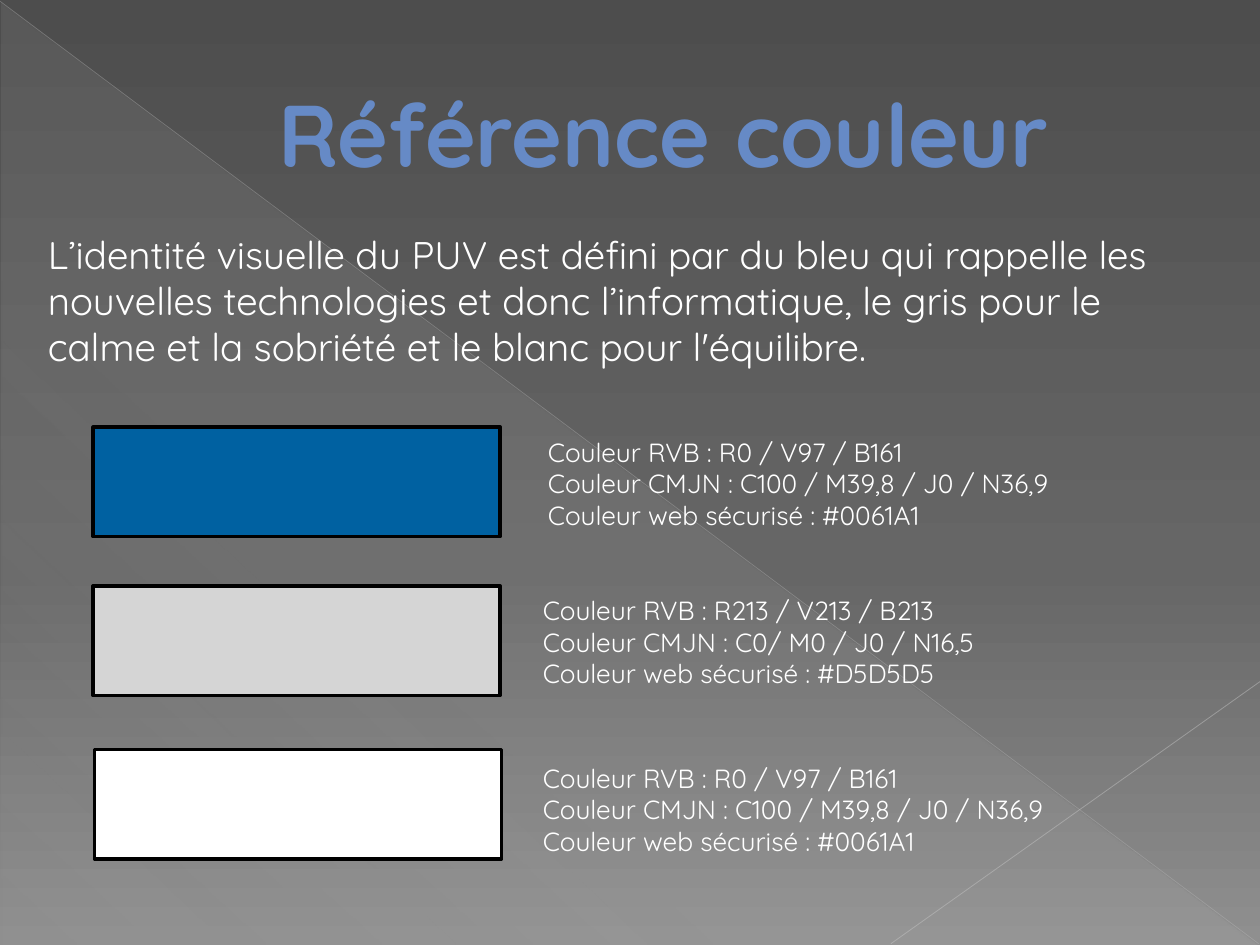
import pptx
import pptx.util
import pptx.dml.color
import pptx.enum.shapes
import pptx.enum.text
import pptx.oxml
import pptx.oxml.ns
import pptx.oxml.xmlchemy

RGBColor = pptx.dml.color.RGBColor
Pt = pptx.util.Pt
qn = pptx.oxml.ns.qn
new_element = pptx.oxml.xmlchemy.OxmlElement
Align = pptx.enum.text.PP_ALIGN
Anchor = pptx.enum.text.MSO_ANCHOR
Shape = pptx.enum.shapes.MSO_SHAPE

FONT = "Quicksand"
WHITE = RGBColor(0xFF, 0xFF, 0xFF)
BLACK = RGBColor(0x00, 0x00, 0x00)
BLUE = RGBColor(0x00, 0x61, 0xA1)
GREY = RGBColor(0xD5, 0xD5, 0xD5)
TITLE_BLUE = RGBColor(0x66, 0x8A, 0xC6)
TITLE_EDGE = RGBColor(0x00, 0x43, 0x70)
LONG_LINE = RGBColor(0xC0, 0xC0, 0xC0)
SHORT_LINE = RGBColor(0xC7, 0xC7, 0xC7)
DARK, MIDDLE, LIGHT = (RGBColor(v, v, v) for v in (0x4D, 0x66, 0x8F))

WIDTH, HEIGHT = pptx.util.Inches(10), pptx.util.Inches(7.5)
# The grid has 100 columns and 100 rows.
COLUMN, ROW = WIDTH / 100, HEIGHT / 100

SWATCH_SIZE = (32.3, 11.6)
# Swatch corner, caption corner relative to it, fill, caption lines
SWATCHES = [
    ((7.4, 45.2), (35.1, 0.27), BLUE,
     ["R0 / V97 / B161", "C100 / M39,8 / J0 / N36,9", "#0061A1"]),
    ((7.4, 62), (34.7, 0.27), GREY,
     ["R213 / V213 / B213", "C0/ M0 / J0 / N16,5", "#D5D5D5"]),
    ((7.5, 79.33), (34.6, 0.67), WHITE,
     ["R0 / V97 / B161", "C100 / M39,8 / J0 / N36,9", "#0061A1"]),
]
CAPTION_LABELS = ["Couleur RVB : ", "Couleur CMJN : ", "Couleur web sécurisé : "]


def grid(left, top, width, height):
    """Turn columns and rows into lengths; also fits two end points."""
    return [round(value * unit) for value, unit in
            zip((left, top, width, height), (COLUMN, ROW, COLUMN, ROW))]


def color_element(color, opacity=100):
    element = new_element("a:srgbClr")
    element.set("val", str(color))
    if opacity < 100:
        alpha = new_element("a:alpha")
        alpha.set("val", str(opacity * 1000))
        element.append(alpha)
    return element


def set_gradient(parent, stops, angle):
    """Replace the solid fill in parent by stops of (position, color, opacity)."""
    gradient = new_element("a:gradFill")
    stop_list = new_element("a:gsLst")
    for position, color, opacity in stops:
        stop = new_element("a:gs")
        stop.set("pos", str(position * 1000))
        stop.append(color_element(color, opacity))
        stop_list.append(stop)
    direction = new_element("a:lin")
    direction.set("ang", str(angle * 60000))
    direction.set("scaled", "0")
    gradient.extend([stop_list, direction])
    parent.replace(parent.find(qn("a:solidFill")), gradient)


def add_hairline(page, ends, color, width, opacity):
    line = page.shapes.add_connector(
        pptx.enum.shapes.MSO_CONNECTOR.STRAIGHT, *grid(*ends))
    line.line.width = Pt(width)
    line.line.color.rgb = color
    fill = line.line._get_or_add_ln().find(qn("a:solidFill"))
    fill.replace(fill[0], color_element(color, opacity))
    line.element.spPr.append(new_element("a:effectLst"))


def add_backdrop(page):
    page.background.fill.solid()
    page.background.fill.fore_color.rgb = DARK
    set_gradient(page.element.find(".//" + qn("p:bgPr")),
                 [(0, DARK, 100), (60, MIDDLE, 100), (100, LIGHT, 100)], 90)
    triangle = page.shapes.add_shape(
        Shape.RIGHT_TRIANGLE, *grid(0.1, 0.27, 99.8, 99.73))
    triangle.shadow.inherit = False
    triangle.line.fill.background()
    triangle.fill.solid()
    triangle.fill.fore_color.rgb = GREY
    set_gradient(triangle.element.spPr,
                 [(0, GREY, 10), (70, GREY, 8), (100, GREY, 1)], 133)
    add_hairline(page, (0, 0.13, 99.9, 99.87), LONG_LINE, 0.39, 35)
    add_hairline(page, (100, 72.13, 70.7, 99.87), SHORT_LINE, 0.47, 45)


def write_text(box, text, size, color=WHITE, bold=False,
               align=Align.LEFT, anchor=Anchor.TOP):
    frame = box.text_frame
    frame.text = text
    frame.word_wrap = True
    frame.auto_size = pptx.enum.text.MSO_AUTO_SIZE.NONE
    frame.vertical_anchor = anchor
    for para in frame.paragraphs:
        para.alignment = align
        para.space_before = Pt(0)
        for span in para.runs:
            span.font.name = FONT
            span.font.size = Pt(size)
            span.font.bold = bold
            span.font.color.rgb = color


def fill_placeholder(placeholder, box, indent, **text):
    """Place a placeholder in front of the backdrop, without bullets."""
    placeholder.left, placeholder.top, placeholder.width, placeholder.height = grid(*box)
    write_text(placeholder, **text)
    properties = placeholder.text_frame.paragraphs[0]._p.get_or_add_pPr()
    properties.set("marL", str(round(indent * COLUMN)))
    properties.set("indent", "0")
    properties.append(new_element("a:buNone"))
    placeholder.element.getparent().append(placeholder.element)


def outline_text(span, color, width):
    outline = new_element("a:ln")
    outline.set("w", str(Pt(width)))
    fill = new_element("a:solidFill")
    fill.append(color_element(color))
    outline.append(fill)
    span.font._element.insert(0, outline)


def add_swatch(page, corner, offset, color, values):
    """Draw one framed color with its codes beside it."""
    swatch = page.shapes.add_shape(Shape.RECTANGLE, *grid(*corner, *SWATCH_SIZE))
    swatch.shadow.inherit = False
    swatch.fill.solid()
    swatch.fill.fore_color.rgb = color
    swatch.line.color.rgb = BLACK
    swatch.line.width = Pt(2)
    left, top = (start + shift for start, shift in zip(corner, offset))
    caption = page.shapes.add_textbox(*grid(left, top, 46.5, 12))
    lines = [label + value for label, value in zip(CAPTION_LABELS, values)]
    write_text(caption, "\n".join(lines), 15)


def build_color_page(deck):
    page = deck.slides.add_slide(deck.slide_layouts[1])
    add_backdrop(page)
    title, body = page.shapes.title, page.placeholders[1]
    fill_placeholder(title, (0, 3.87, 100, 20.4), 5.3,
                     text="Référence couleur", size=50, color=TITLE_BLUE,
                     bold=True, align=Align.CENTER, anchor=Anchor.MIDDLE)
    outline_text(title.text_frame.paragraphs[0].runs[0], TITLE_EDGE, 0.5)
    fill_placeholder(body, (2.8, 23.73, 94.1, 10.93), 0, size=22,
                     text="L’identité visuelle du PUV est défini par du bleu qui "
                          "rappelle les nouvelles technologies et donc "
                          "l’informatique, le gris pour le calme et la sobriété "
                          "et le blanc pour l'équilibre.")
    for swatch in SWATCHES:
        add_swatch(page, *swatch)


def main():
    deck = pptx.Presentation()
    deck.slide_width, deck.slide_height = WIDTH, HEIGHT
    build_color_page(deck)
    deck.save("out.pptx")


if __name__ == "__main__":
    main()
